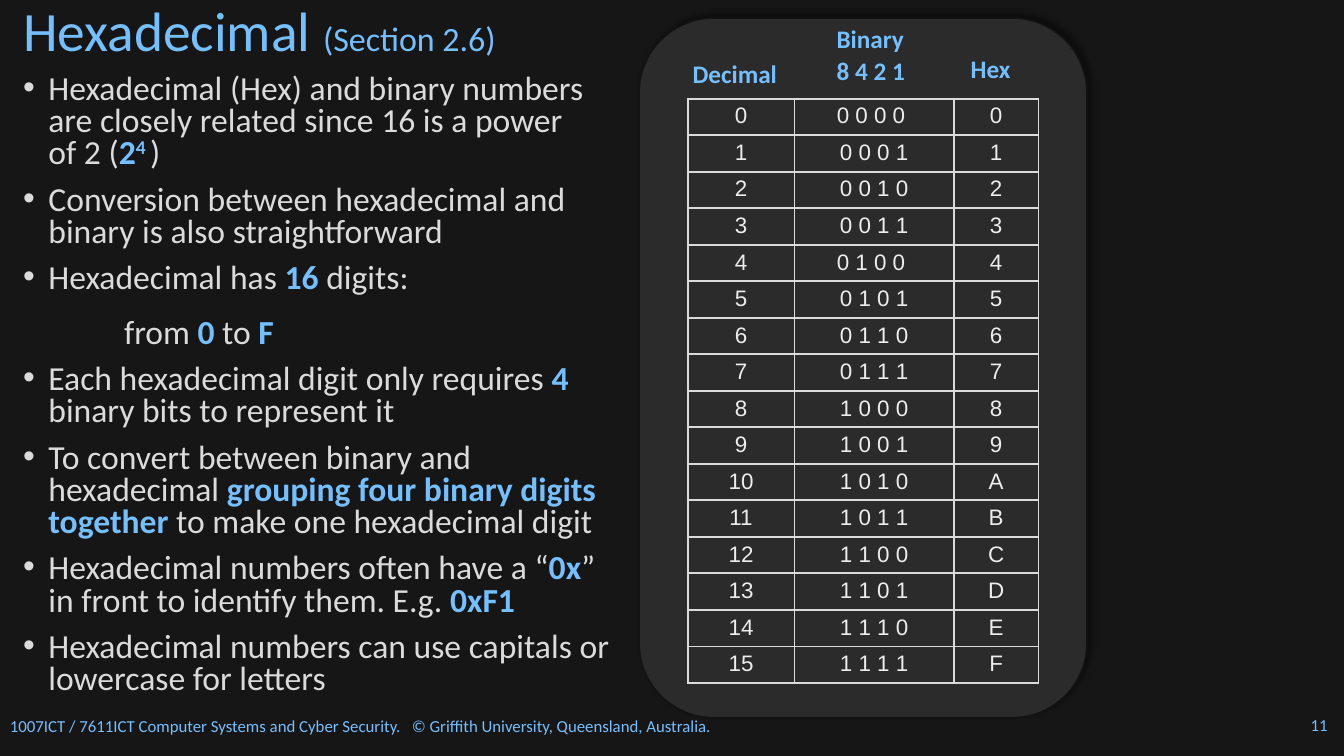
from copy import deepcopy
from typing import NamedTuple

from lxml import etree
from pptx import Presentation
from pptx.dml.color import RGBColor
from pptx.enum.shapes import MSO_SHAPE
from pptx.enum.text import MSO_ANCHOR, MSO_AUTO_SIZE, PP_ALIGN
from pptx.oxml.ns import qn
from pptx.util import Emu, Pt

ROUND = MSO_SHAPE.ROUNDED_RECTANGLE
MIDDLE = MSO_ANCHOR.MIDDLE
FIXED = MSO_AUTO_SIZE.NONE
LEFT, CENTER = PP_ALIGN.LEFT, PP_ALIGN.CENTER

BLUE, GREY, PALE = "75BFFF", "DBDBDB", "EDEDED"
BACK, PANEL, EDGE, SHADE = "161616", "2B2B2B", "131313", "000000"
COLS = [106, 158, 84]
COUNT = 16


class Label(NamedTuple):
    text: str
    left: int
    top: int
    width: int
    height: int
    size: int = 18
    bold: bool = True
    wrap: bool = False


class Point(NamedTuple):
    """A list entry; text between asterisks is bold blue, ^ raises it."""
    text: str
    gap: int = 10
    bullet: bool = True


LABELS = [
    Label("1007ICT / 7611ICT Computer Systems and Cyber Security.   "
          "© Griffith University, Queensland, Australia.",
          0, 705, 831, 30, 12, False, True),
    Label("11", 1290, 704, 43, 30, 12, False, True),
    Label("Decimal", 677, 53, 105, 40),
    Label("Binary", 820, 18, 87, 40),
    Label("Hex", 953, 48, 60, 40),
    Label("8 4 2 1", 820, 50, 95, 40),
]
POINTS = [
    Point("Hexadecimal (Hex) and binary numbers are closely related "
          "since 16 is a power \nof 2 (*2**^4 *)", 0),
    Point("Conversion between hexadecimal and binary is also straightforward"),
    Point("Hexadecimal has *16* digits:"),
    Point("from *0* to *F*", 16, False),
    Point("Each hexadecimal digit only requires *4* binary bits to represent it"),
    Point("To convert between binary and hexadecimal *grouping four binary "
          "digits together *to make one hexadecimal digit"),
    Point("Hexadecimal numbers often have a “*0x*” in front to identify them. "
          "E.g. *0xF1*"),
    Point("Hexadecimal numbers can use capitals or lowercase for letters"),
]


def px(n: int) -> Emu:
    return Emu(n * 9144)


def rgb(code: str) -> RGBColor:
    return RGBColor.from_string(code)


def style(run, size: float, code: str, bold: bool = False,
          face: str = "Calibri") -> None:
    font = run.font
    font.size, font.bold, font.name = Pt(size), bold, face
    font.color.rgb = rgb(code)


def place(shape, left: int, top: int, width: int, height: int) -> None:
    shape.left, shape.top = px(left), px(top)
    shape.width, shape.height = px(width), px(height)


def add_label(slide, label: Label) -> None:
    box = slide.shapes.add_textbox(px(label.left), px(label.top),
                                   px(label.width), px(label.height))
    frame = box.text_frame
    frame.word_wrap = label.wrap
    frame.text = label.text
    style(frame.paragraphs[0].runs[0], label.size, BLUE, label.bold)


def add_title(slide) -> None:
    title = slide.shapes.title
    place(title, 13, 5, 994, 57)
    frame = title.text_frame
    frame.auto_size, frame.vertical_anchor = FIXED, MIDDLE
    para = frame.paragraphs[0]
    para.alignment, para.line_spacing = LEFT, 0.9
    for text, size in [("Hexadecimal ", 39.6), ("(Section 2.6)", 24.3)]:
        run = para.add_run()
        run.text = text
        style(run, size, BLUE)


def add_point(para, point: Point) -> None:
    props = para._p.get_or_add_pPr()
    props.set("marL", str(px(25 if point.bullet else 100)))
    props.set("indent", str(px(-25 if point.bullet else 0)))
    if point.bullet:
        etree.SubElement(props, qn("a:buChar")).set("char", "•")
    else:
        etree.SubElement(props, qn("a:buNone"))
    para.alignment, para.line_spacing = LEFT, 0.8
    para.space_before = Pt(point.gap)
    for i, part in enumerate(point.text.split("*")):
        strong = i % 2 == 1
        for j, line in enumerate(part.split("\n")):
            if not line:
                continue
            if j:
                para.add_line_break()
                para._p[-1].append(deepcopy(run._r.rPr))
            run = para.add_run()
            run.text = line.lstrip("^")
            style(run, 24, BLUE if strong else GREY, strong)
            if line.startswith("^"):
                run._r.rPr.set("baseline", "30000")


def add_list(slide) -> None:
    body = slide.placeholders[1]
    place(body, 13, 69, 602, 628)
    frame = body.text_frame
    frame.auto_size = FIXED
    for i, point in enumerate(POINTS):
        add_point(frame.add_paragraph() if i else frame.paragraphs[0], point)


def add_panel(slide) -> None:
    panel = slide.shapes.add_shape(ROUND, px(634), px(18), px(444), px(694))
    panel.fill.solid()
    panel.fill.fore_color.rgb = rgb(PANEL)
    panel.line.color.rgb = rgb(EDGE)
    panel.line.width = Pt(1)
    panel.shadow.inherit = False
    effects = panel._element.spPr.find(qn("a:effectLst"))
    shadow = etree.SubElement(effects, qn("a:outerShdw"), blurRad=str(Pt(4)),
                              dist=str(Pt(4)), dir=str(315 * 60000))
    tint = etree.SubElement(shadow, qn("a:srgbClr"), val=SHADE)
    etree.SubElement(tint, qn("a:alpha"), val="40000")


def fill_cell(cell, text: str) -> None:
    props = cell._tc.get_or_add_tcPr()
    for side in ("lnL", "lnR", "lnT", "lnB"):
        line = etree.SubElement(props, qn(f"a:{side}"), w=str(Pt(1.5)))
        solid = etree.SubElement(line, qn("a:solidFill"))
        etree.SubElement(solid, qn("a:srgbClr"), val=GREY)
    cell.fill.background()
    cell.text = text
    para = cell.text_frame.paragraphs[0]
    para.alignment = CENTER
    style(para.runs[0], 16, PALE, face="Arial")


def add_grid(slide) -> None:
    grid = slide.shapes.add_table(COUNT, len(COLS), px(682), px(98),
                                  px(sum(COLS)), px(580)).table
    grid.first_row = grid.horz_banding = False
    for col, width in zip(grid.columns, COLS):
        col.width = px(width)
    for n in range(COUNT):
        bits = " ".join(f"{n:04b}") + (" " if n in (0, 4) else "")
        for j, text in enumerate([str(n), bits, f"{n:X}"]):
            fill_cell(grid.cell(n, j), text)


def main() -> None:
    deck = Presentation()
    deck.slide_width, deck.slide_height = px(1333), px(750)
    slide = deck.slides.add_slide(deck.slide_layouts[1])
    slide.background.fill.solid()
    slide.background.fill.fore_color.rgb = rgb(BACK)
    add_title(slide)
    add_list(slide)
    add_panel(slide)
    add_grid(slide)
    for label in LABELS:
        add_label(slide, label)
    deck.save("out.pptx")


if __name__ == "__main__":
    main()
